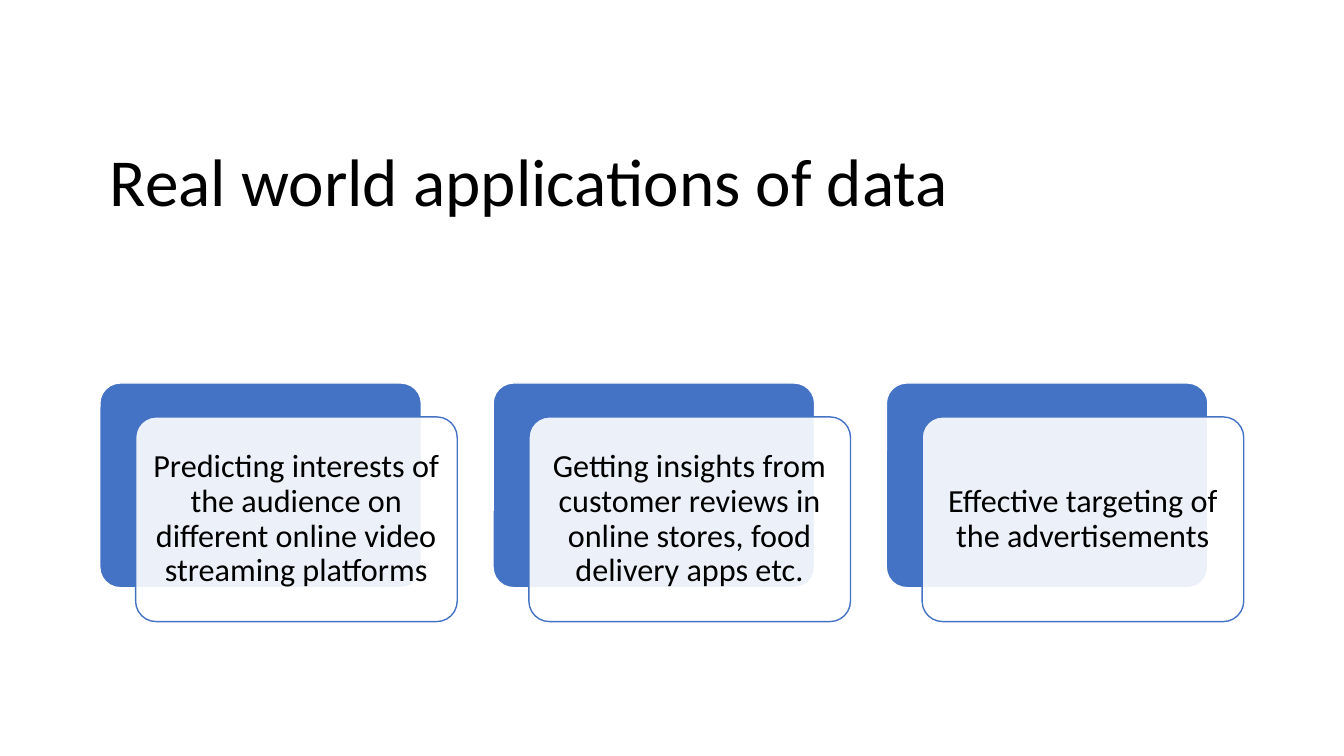
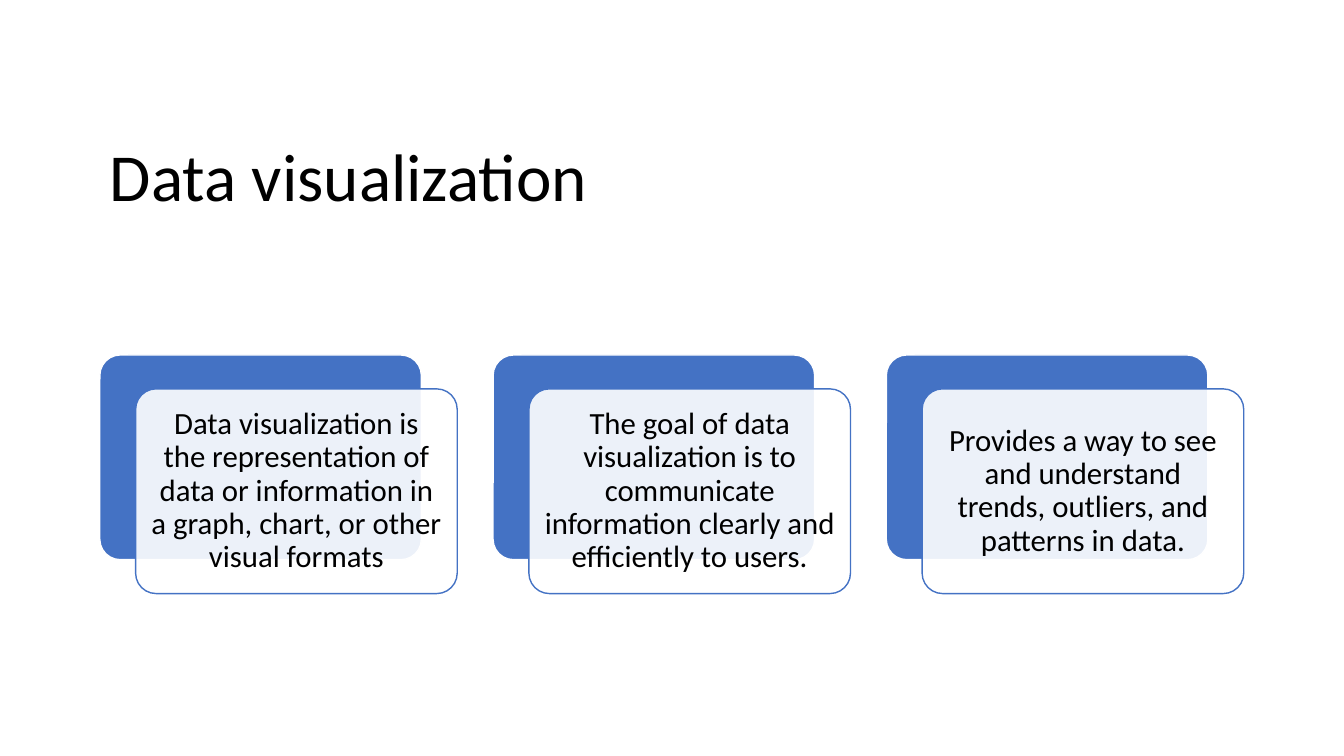
"""Build two slides that each show a title over three layered cards."""
import lxml.etree
import pptx
import pptx.dml.color
import pptx.enum.shapes
import pptx.enum.text
import pptx.oxml.ns
import pptx.util

Pt = pptx.util.Pt
COLORS = {"card": "4472C4", "paper": "FFFFFF", "text": "000000"}
FONT = "Calibri"
LEFT = 71.3
TITLE_SIZE = (801.4, 122.4)
CARD_SIZE = (229.7, 146.2)
CARD_PITCH = 280.9
FRONT_SHIFT = (25.6, 24.2)

SLIDES = [
    {
        "title": "Real world applications of data",
        "title_top": 70.6,
        "cards_top": 273.6,
        "text_size": 23,
        "cards": [
            "Predicting interests of the audience on different online video streaming platforms",
            "Getting insights from customer reviews in online stores, food delivery apps etc.",
            "Effective targeting of the advertisements",
        ],
    },
    {
        "title": "Data visualization",
        "title_top": 67,
        "cards_top": 253.6,
        "text_size": 22,
        "cards": [
            "Data visualization is the representation of data or information in a graph, chart, or other visual formats",
            "The goal of data visualization is to communicate information clearly and efficiently to users.",
            "Provides a way to see and understand trends, outliers, and patterns in data.",
        ],
    },
]


def apply_format(target, values):
    for name, value in values.items():
        setattr(target, name, value)


def color(name):
    return pptx.dml.color.RGBColor.from_string(COLORS[name])


class Builder:
    def __init__(self):
        self.deck = pptx.Presentation()
        apply_format(self.deck, {"slide_width": Pt(960), "slide_height": Pt(540)})
        self.page = None

    def add_page(self):
        self.page = self.deck.slides.add_slide(self.deck.slide_layouts[5])

    def set_text(self, shape, text, size, align, inset):
        box = shape.text_frame
        box.text = text
        apply_format(box, {
            "word_wrap": True,
            "auto_size": pptx.enum.text.MSO_AUTO_SIZE.NONE,
            "vertical_anchor": pptx.enum.text.MSO_ANCHOR.MIDDLE,
        })
        apply_format(box, {f"margin_{side}": Pt(inset) for side in ("left", "top", "right", "bottom")})
        para = box.paragraphs[0]
        apply_format(para, {"alignment": align, "line_spacing": 0.9})
        span = para.runs[0]
        apply_format(span.font, {"name": FONT, "size": Pt(size)})
        span.font.color.rgb = color("text")

    def add_title(self, text, top):
        title = self.page.shapes.title
        width, height = TITLE_SIZE
        apply_format(title, {"left": Pt(LEFT), "top": Pt(top), "width": Pt(width), "height": Pt(height)})
        self.set_text(title, text, 48, pptx.enum.text.PP_ALIGN.LEFT, 7.2)

    def add_panel(self, left, top, fill, line, opacity=100):
        width, height = CARD_SIZE
        panel = self.page.shapes.add_shape(
            pptx.enum.shapes.MSO_SHAPE.ROUNDED_RECTANGLE, Pt(left), Pt(top), Pt(width), Pt(height))
        panel.adjustments[0] = 0.1
        panel.shadow.inherit = False
        panel.fill.solid()
        panel.fill.fore_color.rgb = color(fill)
        panel.line.color.rgb = color(line)
        panel.line.width = Pt(1)
        if opacity < 100:
            qn = pptx.oxml.ns.qn
            tone = panel.element.spPr.find(qn("a:solidFill")).find(qn("a:srgbClr"))
            lxml.etree.SubElement(tone, qn("a:alpha"), val=str(opacity * 1000))
        return panel

    def add_card(self, left, top, text, size):
        shift_x, shift_y = FRONT_SHIFT
        self.add_panel(left, top, "card", "paper")
        front = self.add_panel(left + shift_x, top + shift_y, "paper", "card", 90)
        self.set_text(front, text, size, pptx.enum.text.PP_ALIGN.CENTER, size * 0.3)


def main():
    builder = Builder()
    for content in SLIDES:
        builder.add_page()
        builder.add_title(content["title"], content["title_top"])
        for index, text in enumerate(content["cards"]):
            builder.add_card(LEFT + index * CARD_PITCH, content["cards_top"], text, content["text_size"])
    builder.deck.save("out.pptx")


if __name__ == "__main__":
    main()
